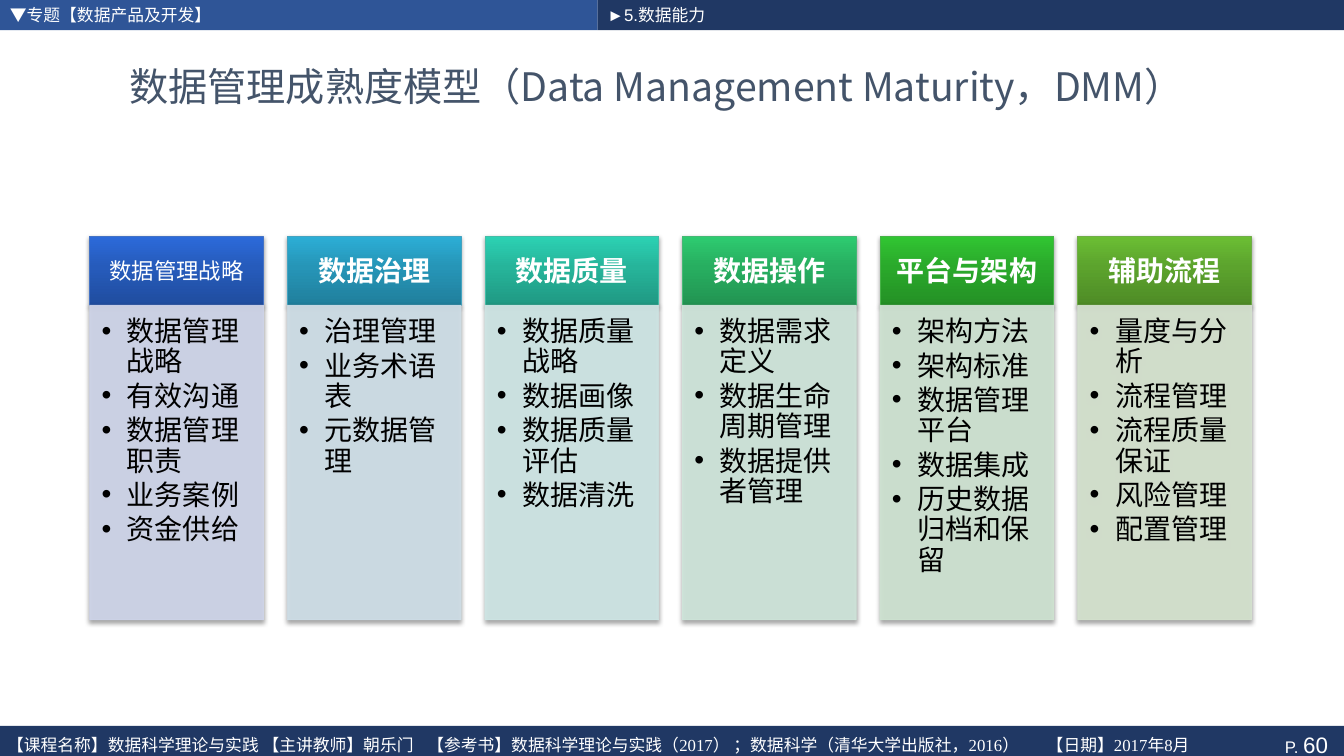
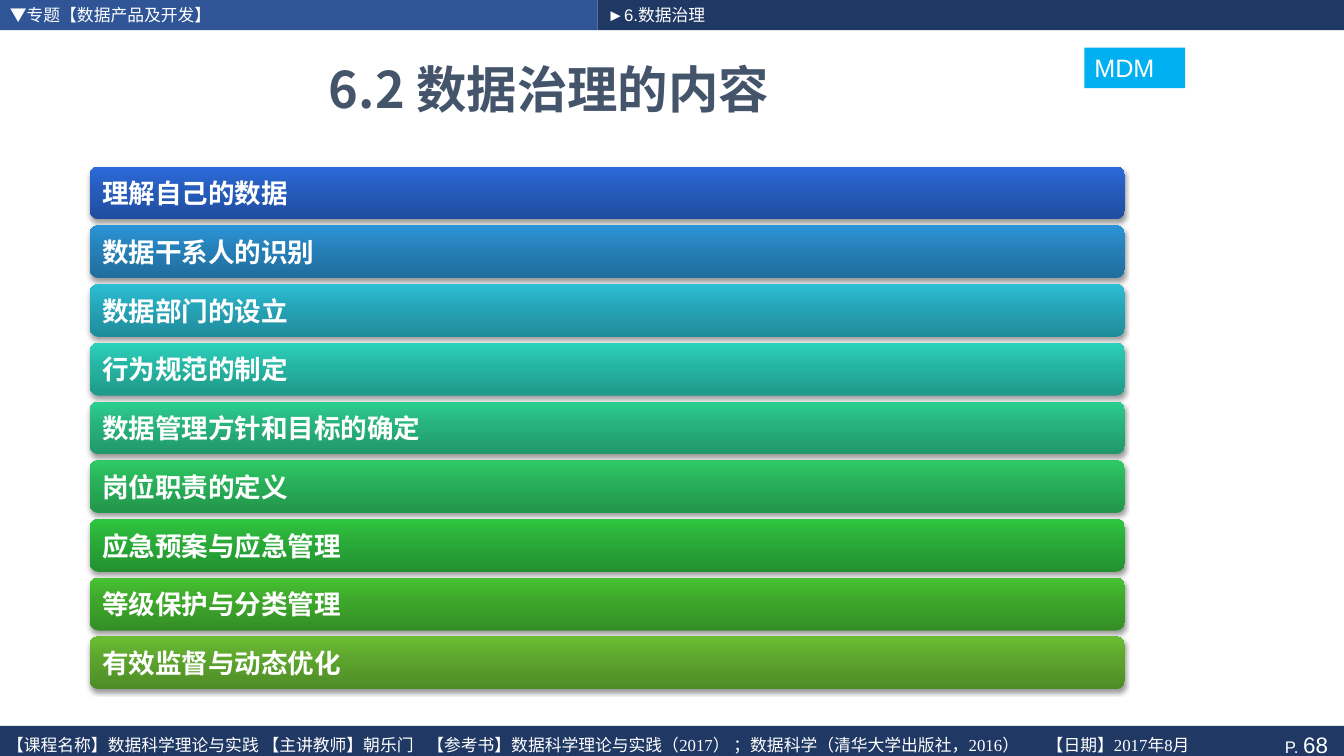
"""Build two slides on data capability and data governance."""
from dataclasses import dataclass

import lxml.etree
import copy
import pptx
import pptx.dml.color
import pptx.enum.shapes
import pptx.enum.text
import pptx.oxml
import pptx.oxml.ns
import pptx.shapes.autoshape
import pptx.slide
import pptx.text.text
import pptx.util

Cm = pptx.util.Cm
Pt = pptx.util.Pt
RGBColor = pptx.dml.color.RGBColor
Shape = pptx.shapes.autoshape.Shape
Slide = pptx.slide.Slide
Paragraph = pptx.text.text._Paragraph
qn = pptx.oxml.ns.qn
PRESET = pptx.enum.shapes.MSO_SHAPE
ALIGN = pptx.enum.text.PP_ALIGN
ANCHOR = pptx.enum.text.MSO_ANCHOR

NAVY = RGBColor(0x20, 0x38, 0x64)
BLUE = RGBColor(0x2F, 0x55, 0x97)
SLATE = RGBColor(0x44, 0x54, 0x6A)
CYAN = RGBColor(0x00, 0xB0, 0xF0)
WHITE = RGBColor(0xFF, 0xFF, 0xFF)
BLACK = RGBColor(0x00, 0x00, 0x00)

SANS = "Arial"
SERIF = "Times New Roman"
CHINESE = "Noto Sans CJK SC"
NAMESPACE = "http://schemas.openxmlformats.org/drawingml/2006/main"

PAGE_WIDTH = Cm(33.87)
TOPIC_WIDTH = Cm(15.06)
TOP_HEIGHT = Cm(0.76)
FOOTER_TOP = Cm(18.29)
FOOTER_HEIGHT = Cm(0.94)
CONTENT_LEFT = Cm(2.26)
TOPIC = "▼专题【数据产品及开发】"
COURSE = (
    "【课程名称】数据科学理论与实践 【主讲教师】朝乐门"
    "\t【参考书】数据科学理论与实践（2017） ；数据科学（清华大学出版社，2016）"
    "\t【日期】2017年8月"
)
COURSE_TABS = (Cm(10.59), Cm(26.2))


@dataclass(frozen=True)
class Area:
    """Place and size of an object."""
    left: int
    top: int
    width: int
    height: int


@dataclass(frozen=True)
class Style:
    """Look of a run of text."""
    size: float
    color: RGBColor = WHITE
    bold: bool = False
    font: str = SANS


@dataclass(frozen=True)
class Column:
    """One capability with its process areas."""
    heading: str
    items: tuple[str, ...]
    top_color: str
    line_color: str
    body_color: str
    style: Style = Style(20, bold=True)


COLUMNS = (
    Column("数据管理战略", ("数据管理战略", "有效沟通", "数据管理职责", "业务案例", "资金供给"),
           "2C6ADA", "4472C4", "CFD5EA", Style(16)),
    Column("数据治理", ("治理管理", "业务术语表", "元数据管理"),
           "2CAED6", "44A3C0", "CFDFE8"),
    Column("数据质量", ("数据质量战略", "数据画像", "数据质量评估", "数据清洗"),
           "2CD2B4", "43BDA7", "CFE7E6"),
    Column("数据操作", ("数据需求定义", "数据生命周期管理", "数据提供者管理"),
           "2ECB70", "44B874", "CFE6DB"),
    Column("平台与架构", ("架构方法", "架构标准", "数据管理平台", "数据集成", "历史数据归档和保留"),
           "31C532", "46B246", "CFE4D2"),
    Column("辅助流程", ("量度与分析", "流程管理", "流程质量保证", "风险管理", "配置管理"),
           "6BBE34", "70AD47", "D5E3CF"),
)

TASKS = (
    ("理解自己的数据", "2C6ADA"),
    ("数据干系人的识别", "2C95D7"),
    ("数据部门的设立", "2CBFD5"),
    ("行为规范的制定", "2CD2BD"),
    ("数据管理方针和目标的确定", "2DCF91"),
    ("岗位职责的定义", "2FCB67"),
    ("应急预案与应急管理", "30C641"),
    ("等级保护与分类管理", "47C232"),
    ("有效监督与动态优化", "6BBE34"),
)


def add_span(para: Paragraph, text: str, style: Style) -> None:
    """Add one formatted run to a paragraph."""
    span = para.add_run()
    span.text = text
    span.font.size = Pt(style.size)
    span.font.bold = style.bold
    span.font.color.rgb = style.color
    span.font.name = style.font
    properties = span._r.get_or_add_rPr()
    lxml.etree.SubElement(properties, qn("a:ea")).set("typeface", CHINESE)


def set_frame(box: Shape, left: int, right: int, vertical: int = 0,
              anchor: ANCHOR = ANCHOR.MIDDLE) -> None:
    """Set wrapping, anchor and insets of a text frame."""
    frame = box.text_frame
    frame.word_wrap = True
    frame.auto_size = pptx.enum.text.MSO_AUTO_SIZE.NONE
    frame.vertical_anchor = anchor
    frame.margin_left, frame.margin_right = left, right
    frame.margin_top = frame.margin_bottom = vertical


def add_box(page: Slide, area: Area, preset: PRESET = PRESET.RECTANGLE) -> Shape:
    """Add a plain shape with neither line nor shadow."""
    box = page.shapes.add_shape(preset, area.left, area.top, area.width, area.height)
    box.shadow.inherit = False
    box.line.fill.background()
    set_frame(box, Cm(0.25), Cm(0.25))
    return box


def add_label(page: Slide, area: Area, fill: RGBColor, text: str, size: float) -> None:
    """Add a filled rectangle with left-aligned text."""
    box = add_box(page, area)
    box.fill.solid()
    box.fill.fore_color.rgb = fill
    para = box.text_frame.paragraphs[0]
    para.alignment = ALIGN.LEFT
    add_span(para, text, Style(size))


def shade(color: RGBColor, factor: float) -> RGBColor:
    """Darken a colour by a factor."""
    return RGBColor(*(int(channel * factor + 0.5) for channel in color))


def fill_gradient(box: Shape, top_color: RGBColor) -> None:
    """Fill a shape from a dark foot up to its top colour."""
    box.fill.gradient()
    box.fill.gradient_angle = 90
    stop_list = box._element.spPr.find(".//" + qn("a:gsLst"))
    stop_list.insert(1, copy.deepcopy(stop_list[0]))
    for stop, position, factor in zip(box.fill.gradient_stops, (0, 0.55, 1), (0.73, 0.857, 1)):
        stop.position = position
        stop.color.rgb = shade(top_color, factor)


def add_shadow(box: Shape) -> None:
    """Give a shape a soft shadow below it."""
    effects = box._element.spPr.find(qn("a:effectLst"))
    effects.append(pptx.oxml.parse_xml(
        f'<a:outerShdw xmlns:a="{NAMESPACE}" blurRad="40000" dist="23000" dir="5400000" '
        'rotWithShape="0"><a:srgbClr val="000000"><a:alpha val="38000"/></a:srgbClr></a:outerShdw>'))


def set_line(box: Shape, color: RGBColor) -> None:
    """Draw a thin outline."""
    box.line.color.rgb = color
    box.line.width = Pt(0.5)


def add_bullet(para: Paragraph) -> None:
    """Give a paragraph a hanging bullet."""
    properties = para._p.get_or_add_pPr()
    properties.set("marL", str(Cm(0.64)))
    properties.set("indent", str(-Cm(0.64)))
    lxml.etree.SubElement(properties, qn("a:buFont")).set("typeface", SANS)
    lxml.etree.SubElement(properties, qn("a:buChar")).set("char", "•")


def add_footer(page: Slide, number: int) -> None:
    """Draw the footer band with course details and page number."""
    area = Area(0, FOOTER_TOP, PAGE_WIDTH, FOOTER_HEIGHT)
    band = add_box(page, area)
    band.fill.solid()
    band.fill.fore_color.rgb = NAVY
    set_frame(band, Cm(0.25), Cm(0.4))
    para = band.text_frame.paragraphs[0]
    para.alignment = ALIGN.RIGHT
    add_span(para, "P. ", Style(12))
    add_span(para, str(number), Style(16))

    box = page.shapes.add_textbox(0, FOOTER_TOP, Cm(32.33), FOOTER_HEIGHT)
    set_frame(box, Cm(0.18), 0)
    para = box.text_frame.paragraphs[0]
    tabs = lxml.etree.SubElement(para._p.get_or_add_pPr(), qn("a:tabLst"))
    for position in COURSE_TABS:
        tab = lxml.etree.SubElement(tabs, qn("a:tab"))
        tab.set("pos", str(position))
        tab.set("algn", "l")
    add_span(para, COURSE, Style(12, font=SERIF))


def add_page(deck: pptx.presentation.Presentation, chapter: str, number: int,
             title: str, area: Area, style: Style) -> Slide:
    """Add a page with bands, footer and title."""
    page = deck.slides.add_slide(deck.slide_layouts.get_by_name("Title Only"))
    add_label(page, Area(0, 0, TOPIC_WIDTH, TOP_HEIGHT), BLUE, TOPIC, 12)
    chapter_area = Area(TOPIC_WIDTH, 0, PAGE_WIDTH - TOPIC_WIDTH, TOP_HEIGHT)
    add_label(page, chapter_area, NAVY, chapter, 12)
    add_footer(page, number)
    box = page.shapes.title
    box.left, box.top, box.width, box.height = area.left, area.top, area.width, area.height
    set_frame(box, Cm(0.25), Cm(0.25))
    para = box.text_frame.paragraphs[0]
    para.alignment = ALIGN.CENTER
    add_span(para, title, style)
    return page


def add_column(page: Slide, column: Column, left: int) -> None:
    """Draw a heading with its list of process areas."""
    width = Cm(4.38)
    heading = add_box(page, Area(left, Cm(5.95), width, Cm(1.74)))
    top_color = RGBColor.from_string(column.top_color)
    fill_gradient(heading, top_color)
    set_line(heading, RGBColor.from_string(column.line_color))
    add_shadow(heading)
    para = heading.text_frame.paragraphs[0]
    para.alignment = ALIGN.CENTER
    add_span(para, column.heading, column.style)

    body = add_box(page, Area(left, Cm(7.69), width, Cm(7.93)))
    body_color = RGBColor.from_string(column.body_color)
    body.fill.solid()
    body.fill.fore_color.rgb = body_color
    set_line(body, body_color)
    for color in body._element.spPr.iter(qn("a:srgbClr")):
        lxml.etree.SubElement(color, qn("a:alpha")).set("val", "90000")
    add_shadow(body)
    set_frame(body, Cm(0.3), Cm(0.4), Cm(0.3), ANCHOR.TOP)
    frame = body.text_frame
    for index, item in enumerate(column.items):
        para = frame.add_paragraph() if index else frame.paragraphs[0]
        add_bullet(para)
        para.alignment = ALIGN.LEFT
        para.line_spacing = Pt(21.6)
        para.space_after = Pt(3)
        add_span(para, item, Style(20, BLACK))


def add_task(page: Slide, text: str, top_color: str, top: int) -> None:
    """Draw one rounded task bar."""
    area = Area(CONTENT_LEFT, top, Cm(26.09), Cm(1.33))
    bar = add_box(page, area, PRESET.ROUNDED_RECTANGLE)
    fill_gradient(bar, RGBColor.from_string(top_color))
    add_shadow(bar)
    para = bar.text_frame.paragraphs[0]
    para.alignment = ALIGN.LEFT
    add_span(para, text, Style(19, bold=True))


def main() -> None:
    """Build and save the deck."""
    deck = pptx.Presentation()
    deck.slide_width, deck.slide_height = PAGE_WIDTH, Cm(19.05)

    page = add_page(deck, "►5.数据能力", 60, "数据管理成熟度模型（Data Management Maturity，DMM）",
                    Area(Cm(1.14), Cm(1.02), Cm(30.81), Cm(2.29)), Style(28, SLATE, font=CHINESE))
    for index, column in enumerate(COLUMNS):
        add_column(page, column, CONTENT_LEFT + index * Cm(4.98))

    page = add_page(deck, "►6.数据治理", 68, "6.2 数据治理的内容",
                    Area(Cm(1.12), Cm(1.09), Cm(25.43), Cm(2.29)), Style(36, SLATE, True, CHINESE))
    for index, (text, top_color) in enumerate(TASKS):
        add_task(page, text, top_color, Cm(4.2) + index * Cm(1.48))
    add_label(page, Area(Cm(27.33), Cm(1.2), Cm(2.54), Cm(1.02)), CYAN, "MDM", 18)

    deck.save("out.pptx")


if __name__ == "__main__":
    main()
